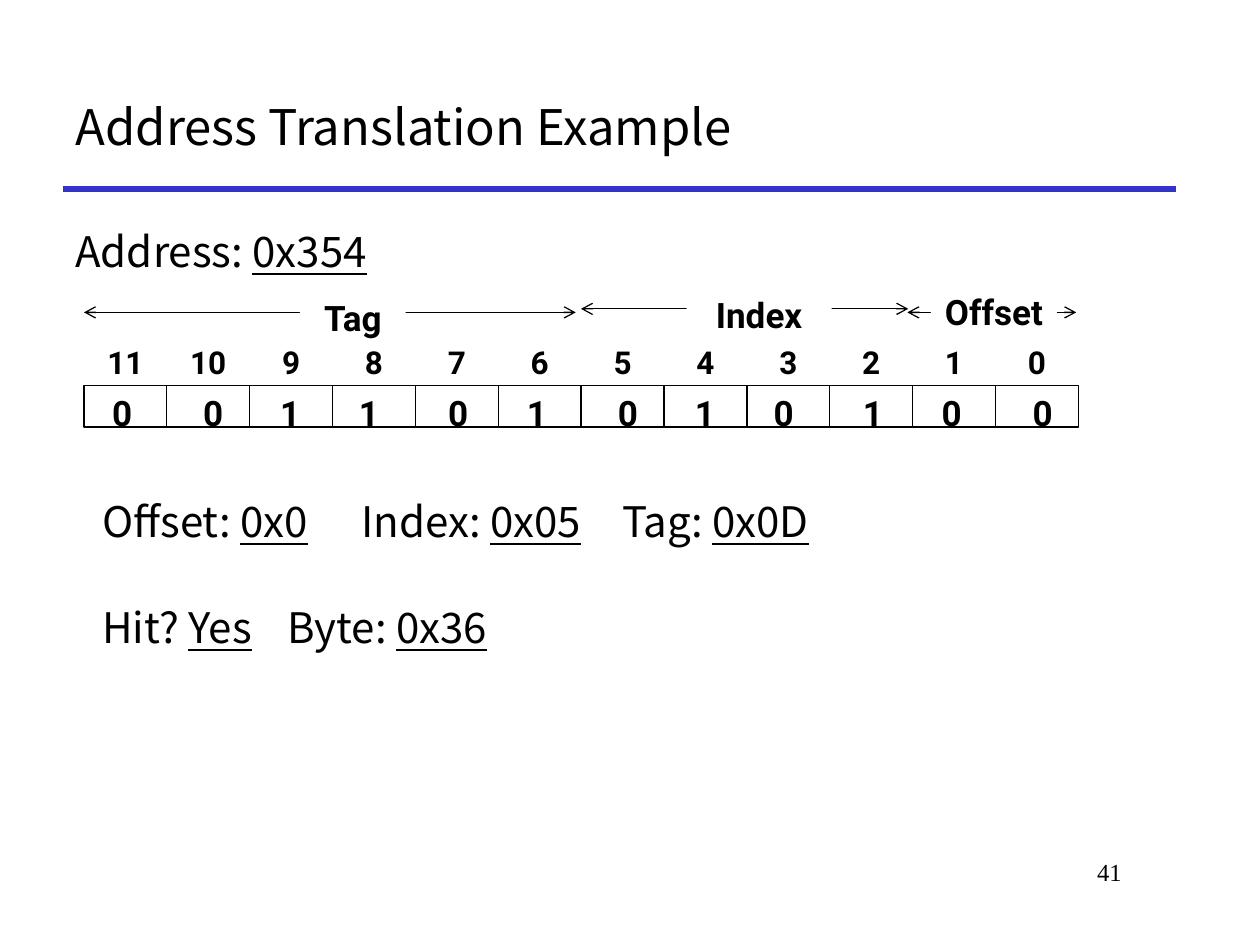
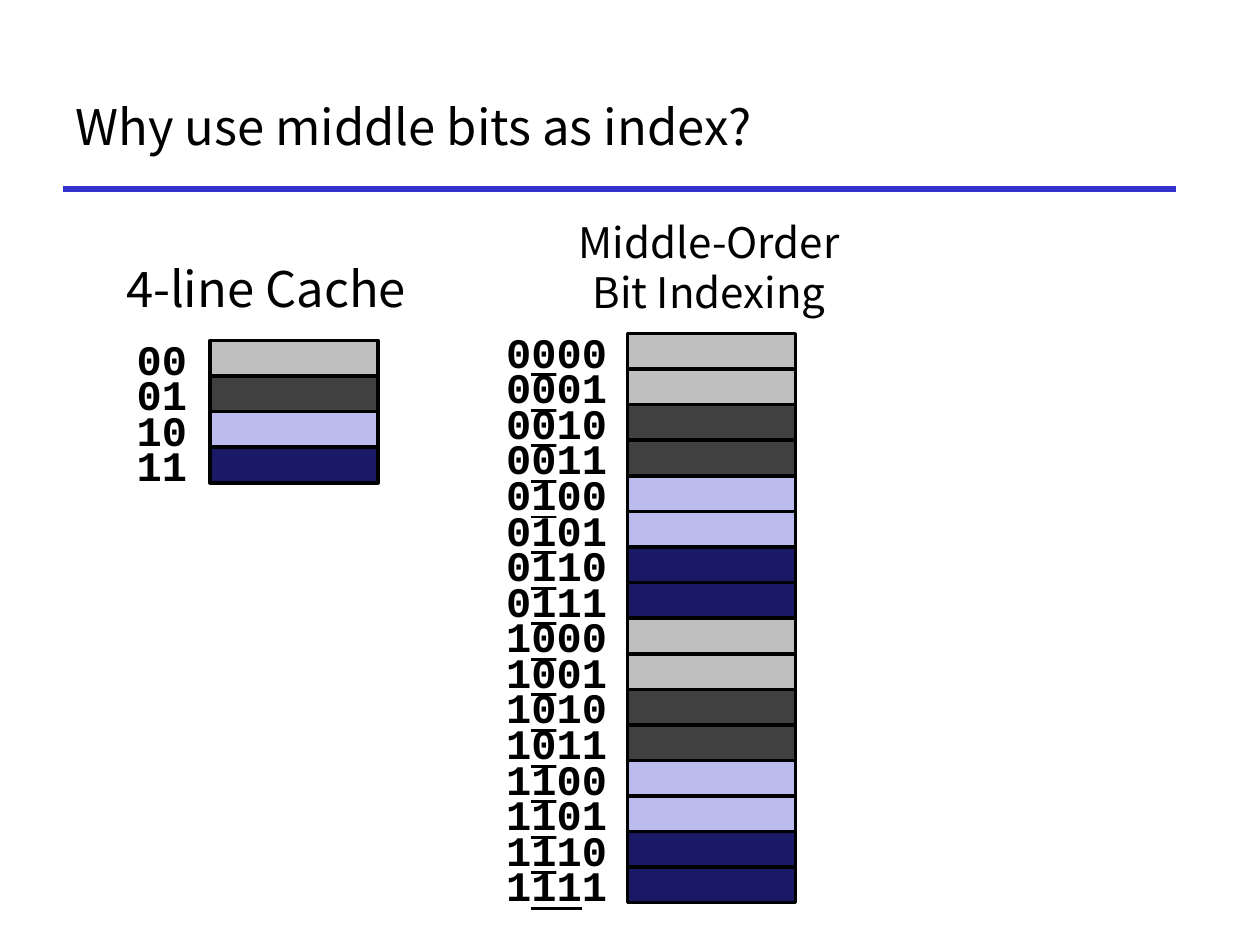
from dataclasses import dataclass
from typing import NamedTuple

from lxml import etree
from pptx import Presentation
from pptx.dml.color import RGBColor
from pptx.enum.shapes import MSO_CONNECTOR, MSO_SHAPE
from pptx.enum.text import MSO_ANCHOR, PP_ALIGN
from pptx.oxml.ns import qn
from pptx.util import Pt

LEFT, CENTER, RIGHT = PP_ALIGN.LEFT, PP_ALIGN.CENTER, PP_ALIGN.RIGHT
TOP, MIDDLE = MSO_ANCHOR.TOP, MSO_ANCHOR.MIDDLE
RECT, STRAIGHT = MSO_SHAPE.RECTANGLE, MSO_CONNECTOR.STRAIGHT

COLORS = {
    "text": "000000",
    "paper": "FFFFFF",
    "rule": "3333CC",
    "gray": "808080",
    "charcoal": "404040",
    "lilac": "7878DE",
    "navy": "191966",
}
SANS, DIGITS, MONO, SERIF = "Noto Sans CJK KR", "Roboto", "Courier New", "Times New Roman"


class Box(NamedTuple):
    x: float
    y: float
    w: float
    h: float


class Span(NamedTuple):
    text: str
    underline: bool = False


@dataclass(frozen=True)
class Style:
    font: str = SANS
    size: float = 24
    bold: bool = False
    align: PP_ALIGN = LEFT
    anchor: MSO_ANCHOR = TOP
    spacing: float = 1.0
    wrap: bool = False


@dataclass(frozen=True)
class Field:
    """A named group of address bits with its arrow and label."""
    name: str
    start: float
    end: float
    arrow_y: float
    label: Box


@dataclass(frozen=True)
class Memory:
    """A stack of lines, each with its binary address to the left."""
    bits: int
    label_x: float
    block_x: float
    top: float


class LineFill(NamedTuple):
    color: str
    opacity: int = 100


TITLE = Style(size=28, anchor=MIDDLE, wrap=True)
PAGE_NUMBER = Style(SERIF, 14, align=RIGHT, wrap=True)
ADDRESS = Style(spacing=1.4, wrap=True)
ANSWER = Style(spacing=0.9, wrap=True)
BIT_NUMBER = Style(DIGITS, 18, True, CENTER, MIDDLE, 0.9)
BIT_VALUE = Style(DIGITS, 20, True, CENTER)
FIELD_NAME = Style(DIGITS, 20, True, CENTER, spacing=0.9)
LINE_ADDRESS = Style(MONO, 24, True, RIGHT, MIDDLE)

ADDRESS_VALUE, ADDRESS_BITS = 0x354, 12
BITS_X, BITS_Y, BIT_W, BIT_H = 48, 220.3, 47.35, 23.75
BIT_VALUE_X = (54, 106, 150, 195, 246, 291, 343, 387, 432, 483, 528, 580)
FIELDS = (
    Field("Offset", 518.5, 615, 178.5, Box(532, 165, 72, 28.8)),
    Field("Index", 332, 519, 176.5, Box(392.4, 167, 82.8, 28.8)),
    Field("Tag", 48, 329, 178.5, Box(171.4, 168.5, 60.5, 28.8)),
)

LINE_FILLS = (LineFill("gray", 50), LineFill("charcoal"),
              LineFill("lilac", 50), LineFill("navy"))
LINE_H = 20.33
CACHE = Memory(bits=2, label_x=78, block_x=120, top=194.6)
MAIN_MEMORY = Memory(bits=4, label_x=318, block_x=358.6, top=190.6)


def rgb(name: str) -> RGBColor:
    return RGBColor.from_string(COLORS[name])


def set_frame(tf, style: Style) -> None:
    tf.word_wrap = style.wrap
    tf.vertical_anchor = style.anchor


def add_spans(p, spans: list[Span], style: Style) -> None:
    p.alignment = style.align
    p.line_spacing = style.spacing
    for span in spans:
        r = p.add_run()
        r.text = span.text
        r.font.name = style.font
        r.font.size = Pt(style.size)
        r.font.bold = style.bold
        r.font.underline = span.underline
        r.font.color.rgb = rgb("text")


def write(sp, spans: list[Span], style: Style) -> None:
    set_frame(sp.text_frame, style)
    add_spans(sp.text_frame.paragraphs[0], spans, style)


def add_text(s, box: Box, lines: list[list[Span]], style: Style):
    sp = s.shapes.add_textbox(*map(Pt, box))
    write(sp, lines[0], style)
    for spans in lines[1:]:
        add_spans(sp.text_frame.add_paragraph(), spans, style)
    return sp


def add_rect(s, box: Box, fill: LineFill | None = None, line_width: float = 0):
    sp = s.shapes.add_shape(RECT, *map(Pt, box))
    sp.shadow.inherit = False
    if fill is None:
        sp.fill.background()
    else:
        sp.fill.solid()
        sp.fill.fore_color.rgb = rgb(fill.color)
        if fill.opacity < 100:
            color = sp._element.spPr.find(qn("a:solidFill"))[0]
            etree.SubElement(color, qn("a:alpha"), val=str(fill.opacity * 1000))
    if line_width:
        sp.line.color.rgb = rgb("text")
        sp.line.width = Pt(line_width)
    else:
        sp.line.fill.background()
    return sp


def add_line(s, x1: float, x2: float, y: float, color: str, width: float,
             arrows: bool = False) -> None:
    """Draw a horizontal line, with open arrowheads at both ends if asked."""
    sp = s.shapes.add_connector(STRAIGHT, Pt(x1), Pt(y), Pt(x2), Pt(y))
    sp.line.color.rgb = rgb(color)
    sp.line.width = Pt(width)
    if arrows:
        ln = sp.line._get_or_add_ln()
        for end in ("a:headEnd", "a:tailEnd"):
            etree.SubElement(ln, qn(end), type="arrow")
    etree.SubElement(sp._element.spPr, qn("a:effectLst"))


def add_tab_stops(p, stops: tuple[float, ...]) -> None:
    tabs = etree.SubElement(p._p.get_or_add_pPr(), qn("a:tabLst"))
    for stop in stops:
        etree.SubElement(tabs, qn("a:tab"), pos=str(Pt(stop)), algn="l")


def add_slide(prs, title: str):
    s = prs.slides.add_slide(prs.slide_layouts[5])
    add_line(s, 36, 672, 108, "rule", 3)
    sp = s.shapes.title
    sp.left, sp.top, sp.width, sp.height = map(Pt, (36, 36, 636, 72))
    write(sp, [Span(title)], TITLE)
    return s


def add_address_bits(s) -> None:
    bits = f"{ADDRESS_VALUE:0{ADDRESS_BITS}b}"
    for i, (bit, value_x) in enumerate(zip(bits, BIT_VALUE_X)):
        cell = Box(BITS_X + i * BIT_W, BITS_Y, BIT_W, BIT_H)
        add_rect(s, cell, line_width=0.75)
        number = str(ADDRESS_BITS - 1 - i)
        add_text(s, cell._replace(y=BITS_Y - BIT_H), [[Span(number)]], BIT_NUMBER)
        add_text(s, Box(value_x, BITS_Y, 31.7, 31.7), [[Span(bit)]], BIT_VALUE)


def add_field(s, field: Field) -> None:
    add_line(s, field.start, field.end, field.arrow_y, "text", 0.75, arrows=True)
    write(add_rect(s, field.label, LineFill("paper")), [Span(field.name)], FIELD_NAME)


def add_answers(s) -> None:
    lines = [
        [Span("Offset: "), Span("0x0", True), Span("\tIndex: "), Span("0x05", True),
         Span("\tTag: "), Span("0x0D", True)],
        [Span("Hit? "), Span("Yes", True), Span("\tByte: "), Span("0x36", True)],
    ]
    sp = add_text(s, Box(39, 283, 465, 97), lines, ANSWER)
    tf = sp.text_frame
    tf.margin_left = Pt(19.5)
    tf.paragraphs[1].space_before = Pt(34.5)
    for p, stops in zip(tf.paragraphs, ((148, 297), (106,))):
        add_tab_stops(p, stops)


def add_memory(s, memory: Memory) -> None:
    """Draw the lines, coloured by the two index bits of their addresses."""
    index_start = (memory.bits - 2) // 2
    for i in range(2 ** memory.bits):
        y = memory.top + i * LINE_H
        address = f"{i:0{memory.bits}b}"
        index = address[index_start:index_start + 2]
        add_rect(s, Box(memory.block_x, y, 96, LINE_H), LINE_FILLS[int(index, 2)], 2)
        spans = [Span(address)]
        if index_start:
            spans = [Span(address[:index_start]), Span(index, True),
                     Span(address[index_start + 2:])]
        label = add_rect(s, Box(memory.label_x, y, 36, LINE_H), LineFill("paper"))
        write(label, spans, LINE_ADDRESS)


def build_translation(prs) -> None:
    s = add_slide(prs, "Address Translation Example")
    add_text(s, Box(546, 486, 102, 36), [[Span("41")]], PAGE_NUMBER)
    add_text(s, Box(36, 114, 190, 44),
             [[Span("Address: "), Span(f"0x{ADDRESS_VALUE:X}", True)]], ADDRESS)
    add_address_bits(s)
    for field in FIELDS:
        add_field(s, field)
    add_answers(s)


def build_middle_bits(prs) -> None:
    s = add_slide(prs, "Why use middle bits as index?")
    add_text(s, Box(62, 144, 180, 41), [[Span("4-line Cache")]],
             Style(size=28, align=CENTER))
    add_text(s, Box(319.5, 120, 171.5, 65.5),
             [[Span("Middle-Order")], [Span("Bit Indexing")]], Style(align=CENTER))
    for memory in (CACHE, MAIN_MEMORY):
        add_memory(s, memory)


def main() -> None:
    prs = Presentation()
    prs.slide_width, prs.slide_height = Pt(720), Pt(540)
    build_translation(prs)
    build_middle_bits(prs)
    prs.save("out.pptx")


if __name__ == "__main__":
    main()
